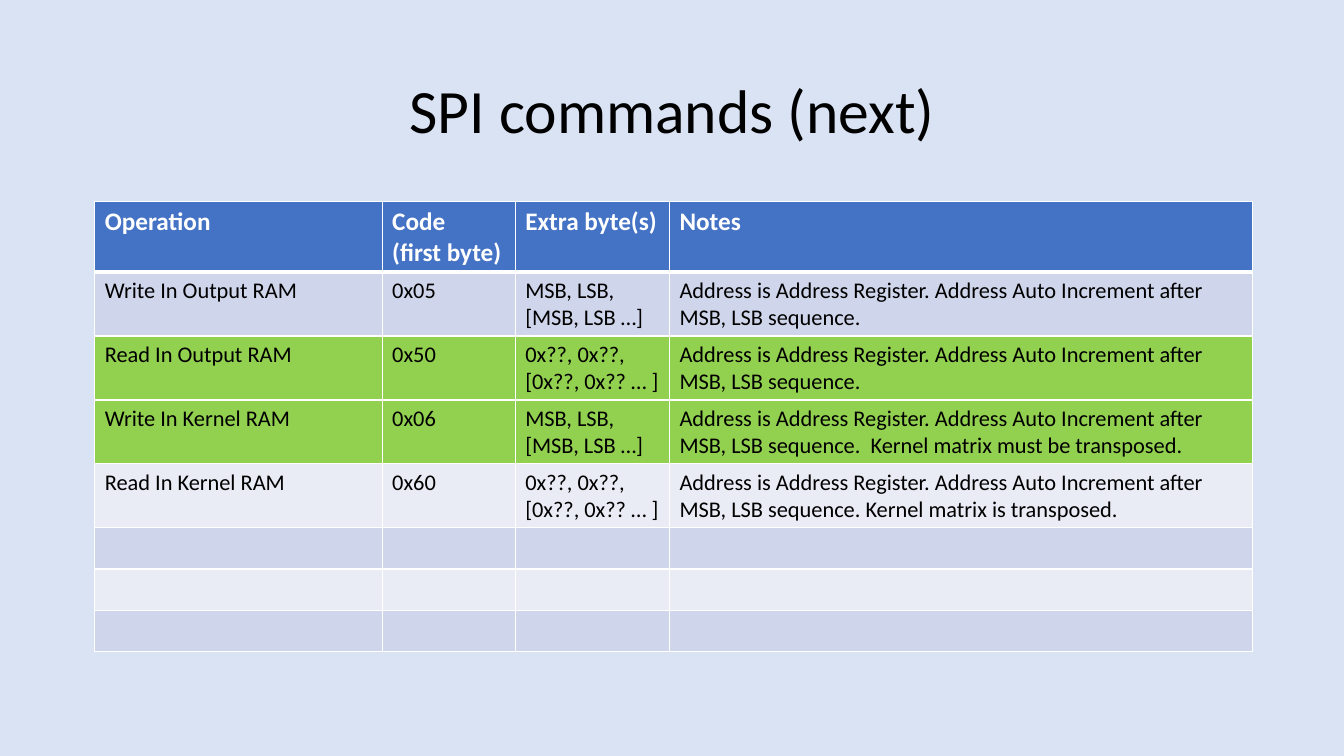
from lxml.etree import SubElement
from pptx import Presentation
from pptx.dml.color import RGBColor
from pptx.enum.text import MSO_ANCHOR, PP_ALIGN
from pptx.oxml.ns import qn
from pptx.util import Inches, Pt

COLORS = {
    "background": "DAE3F3",
    "header": "4472C4",
    "odd": "CFD5EA",
    "even": "E9EBF5",
    "done": "92D050",
    "border": "FFFFFF",
    "header_text": "FFFFFF",
    "text": "000000",
}
FONT = "Calibri"
COLUMN_WIDTHS = [2.85, 1.32, 1.53, 5.78]
ROW_HEIGHT = 0.41
HEADINGS = ["Operation", "Code\n(first byte)", "Extra byte(s)", "Notes"]
WRITE_BYTES = "MSB, LSB, [MSB, LSB …]"
READ_BYTES = "0x??, 0x??,[0x??, 0x?? … ]"
ADDRESSING = "Address is Address Register. Address Auto Increment after MSB, LSB sequence."
COMMANDS = [
    ["Write In Output RAM", "0x05", WRITE_BYTES, ADDRESSING],
    ["Read In Output RAM", "0x50", READ_BYTES, ADDRESSING],
    ["Write In Kernel RAM", "0x06", WRITE_BYTES,
     ADDRESSING + "  Kernel matrix must be transposed."],
    ["Read In Kernel RAM", "0x60", READ_BYTES,
     ADDRESSING + " Kernel matrix is transposed."],
]
SPARE_ROWS = 3
DONE_ROWS = {2, 3}


def rgb(name):
    return RGBColor.from_string(COLORS[name])


def add_text(paragraph, text, size, color, bold=False):
    run = paragraph.add_run()
    run.text = text
    run.font.name = FONT
    run.font.size = Pt(size)
    run.font.bold = bold
    run.font.color.rgb = rgb(color)


def add_title(slide, left, top, width, height):
    title = slide.shapes.add_textbox(
        Inches(left), Inches(top), Inches(width), Inches(height))
    frame = title.text_frame
    frame.word_wrap = True
    frame.vertical_anchor = MSO_ANCHOR.MIDDLE
    heading = frame.paragraphs[0]
    heading.alignment = PP_ALIGN.CENTER
    heading.line_spacing = 0.9
    add_text(heading, "SPI commands (next)", 44, "text")


def set_borders(cell, top, bottom):
    properties = cell._tc.get_or_add_tcPr()
    for side, points in (("L", 1), ("R", 1), ("T", top), ("B", bottom)):
        line = SubElement(properties, qn(f"a:ln{side}"), w=str(Pt(points)))
        fill = SubElement(line, qn("a:solidFill"))
        SubElement(fill, qn("a:srgbClr"), val=COLORS["border"])


def row_fill(index):
    if index == 0:
        return "header"
    if index in DONE_ROWS:
        return "done"
    return "odd" if index % 2 else "even"


def fill_cell(cell, text, row):
    is_header = row == 0
    set_borders(cell, 3 if row == 1 else 1, 3 if is_header else 1)
    cell.fill.solid()
    cell.fill.fore_color.rgb = rgb(row_fill(row))
    if not text:
        return
    frame = cell.text_frame
    for number, line in enumerate(text.split("\n")):
        paragraph = frame.add_paragraph() if number else frame.paragraphs[0]
        if is_header:
            add_text(paragraph, line, 18, "header_text", True)
        else:
            add_text(paragraph, line, 16, "text")


def add_command_table(slide, left, top, width, height):
    rows = [HEADINGS] + COMMANDS + [[""] * len(HEADINGS)] * SPARE_ROWS
    command_frame = slide.shapes.add_table(
        len(rows), len(HEADINGS),
        Inches(left), Inches(top), Inches(width), Inches(height))
    commands = command_frame.table
    for column, column_width in zip(commands.columns, COLUMN_WIDTHS):
        column.width = Inches(column_width)
    for index, texts in enumerate(rows):
        commands.rows[index].height = Inches(ROW_HEIGHT)
        for cell, text in zip(commands.rows[index].cells, texts):
            fill_cell(cell, text, index)
    command_frame.width = Inches(width)
    command_frame.height = Inches(height)


def main():
    deck = Presentation()
    deck.slide_width = Inches(13.33)
    deck.slide_height = Inches(7.5)
    slide = deck.slides.add_slide(deck.slide_layouts[6])
    slide.background.fill.solid()
    slide.background.fill.fore_color.rgb = rgb("background")
    add_title(slide, 0.92, 0.4, 11.5, 1.45)
    add_command_table(slide, 0.94, 2, 11.47, 4.98)
    deck.save("out.pptx")


if __name__ == "__main__":
    main()
